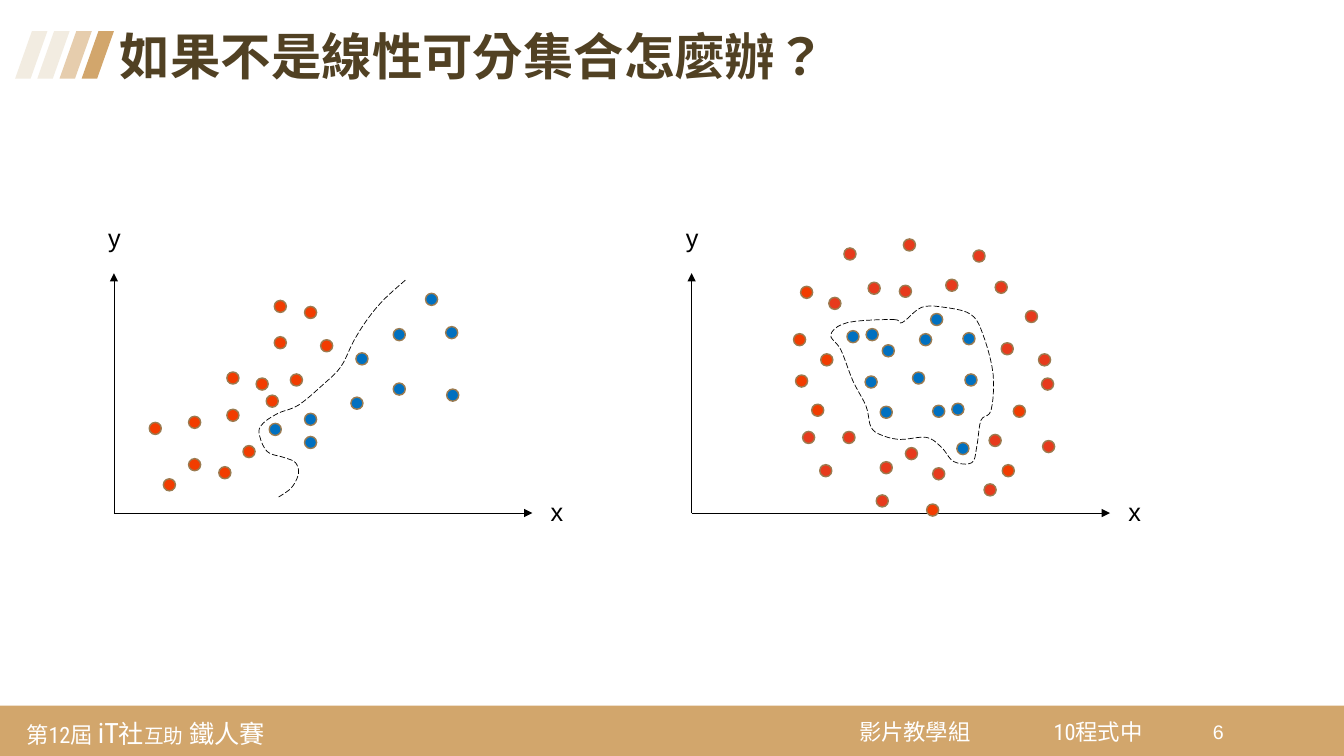
"""Build a slide that shows two point sets no straight line can separate."""
import dataclasses

import lxml.etree
import pptx
import pptx.dml.color
import pptx.enum.dml
import pptx.enum.lang
import pptx.enum.shapes
import pptx.enum.text
import pptx.oxml.ns
import pptx.util

SHAPES = pptx.enum.shapes.MSO_SHAPE
ANCHOR = pptx.enum.text.MSO_ANCHOR
ALIGN = pptx.enum.text.PP_ALIGN


@dataclasses.dataclass(frozen=True)
class Theme:
    heading_font: str = "Arial"
    footer_font: str = "Roboto Condensed"
    title_size: int = 36
    label_size: int = 18
    footer_size: int = 16
    number_size: int = 14
    hairline: float = 0.5
    dot_line: float = 1
    dot: float = 0.12
    title: str = "514123"
    ink: str = "000000"
    white: str = "FFFFFF"
    gold: str = "D2A66C"
    sand: str = "E6CDAD"
    cream: str = "F2ECE1"
    dot_edge: str = "9B7B50"
    blue: str = "0070C0"
    orange: str = "F23C00"
    red: str = "E73A1C"


@dataclasses.dataclass(frozen=True)
class Plot:
    left: float
    clusters: dict
    knots: list
    closed: bool
    base: float = 5.09
    width: float = 4.15
    height: float = 2.38

    def locate(self, x, y):
        return self.left + x, self.base - y


def length(inches):
    return pptx.util.Cm(inches * 2.54)


def color(value):
    return pptx.dml.color.RGBColor.from_string(value)


def smooth_curve(knots, closed, steps=5):
    ends = (knots[-1:], knots[:2]) if closed else (knots[:1], knots[-1:])
    padded = ends[0] + knots + ends[1]
    curve = []
    for quad in zip(padded, padded[1:], padded[2:], padded[3:]):
        for step in range(steps):
            t = step / steps
            curve.append(tuple(
                b + t * (c - a) / 2 + t**2 * (2 * a - 5 * b + 4 * c - d) / 2
                + t**3 * (3 * b - a - 3 * c + d) / 2
                for a, b, c, d in zip(*quad)))
    return curve if closed else curve + knots[-1:]


class SlideBuilder:
    def __init__(self, slide, theme):
        self.slide = slide
        self.theme = theme

    def format_font(self, font, name, size, ink, bold=False):
        font.name, font.size, font.bold = name, pptx.util.Pt(size), bold
        font.color.rgb = color(ink)

    def format_line(self, line, ink, width):
        line.color.rgb = color(ink)
        line.width = pptx.util.Pt(width)

    def title(self, text, left, top, width, height):
        box = self.slide.shapes.title
        box.left, box.top, box.width, box.height = map(length, (left, top, width, height))
        frame = box.text_frame
        frame.vertical_anchor = ANCHOR.TOP
        frame.auto_size = pptx.enum.text.MSO_AUTO_SIZE.NONE
        para = frame.paragraphs[0]
        para.alignment = ALIGN.LEFT
        para.line_spacing = 0.9
        para.space_before = pptx.util.Pt(0)
        self.format_font(para.font, self.theme.heading_font, self.theme.title_size,
                         self.theme.title, bold=True)
        span = para.add_run()
        span.text = text
        span.font.language_id = pptx.enum.lang.MSO_LANGUAGE_ID.TRADITIONAL_CHINESE

    def text(self, spans, left, top, width, height, font, size, ink,
             wrap=True, align=ALIGN.LEFT, anchor=ANCHOR.TOP, inset=None):
        box = self.slide.shapes.add_textbox(*map(length, (left, top, width, height)))
        frame = box.text_frame
        frame.word_wrap = wrap
        frame.vertical_anchor = anchor
        if inset is not None:
            frame.margin_left = frame.margin_right = length(inset)
            frame.margin_top = frame.margin_bottom = length(inset)
        para = frame.paragraphs[0]
        para.alignment = align
        self.format_font(para.font, font, size, ink)
        for words, span_size in spans:
            span = para.add_run()
            span.text = words
            if span_size != size:
                span.font.size = pptx.util.Pt(span_size)

    def footer(self, spans, left, top, width, height):
        self.text(spans, left, top, width, height, self.theme.footer_font,
                  self.theme.footer_size, self.theme.white, anchor=ANCHOR.MIDDLE, inset=0.08)

    def label(self, words, left, top):
        size = self.theme.label_size
        self.text([(words, size)], left, top, 0.33, 0.4, self.theme.heading_font,
                  size, self.theme.ink, wrap=False, align=ALIGN.CENTER)

    def shape(self, kind, left, top, width, height, fill, edge=None):
        shape = self.slide.shapes.add_shape(kind, *map(length, (left, top, width, height)))
        shape.shadow.inherit = False
        shape.fill.solid()
        shape.fill.fore_color.rgb = color(fill)
        if edge:
            self.format_line(shape.line, edge, self.theme.dot_line)
        else:
            shape.line.fill.background()
        return shape

    def dot(self, x, y, fill):
        size = self.theme.dot
        self.shape(SHAPES.OVAL, x - size / 2, y - size / 2, size, size, fill, self.theme.dot_edge)

    def arrow(self, start, end):
        arrow = self.slide.shapes.add_connector(
            pptx.enum.shapes.MSO_CONNECTOR.STRAIGHT, *map(length, start + end))
        self.format_line(arrow.line, self.theme.ink, self.theme.hairline)
        qn = pptx.oxml.ns.qn
        properties = arrow._element.spPr
        lxml.etree.SubElement(properties.find(qn("a:ln")), qn("a:tailEnd"), type="triangle")
        lxml.etree.SubElement(properties, qn("a:effectLst"))

    def boundary(self, places, closed):
        first, *rest = [tuple(map(length, place)) for place in places]
        builder = self.slide.shapes.build_freeform(*first)
        builder.add_line_segments(rest, close=closed)
        outline = builder.convert_to_shape()
        outline.shadow.inherit = False
        outline.fill.background()
        self.format_line(outline.line, self.theme.ink, self.theme.hairline)
        outline.line.dash_style = pptx.enum.dml.MSO_LINE.LONG_DASH

    def plot(self, plot):
        origin = plot.locate(0, 0)
        self.arrow(origin, plot.locate(0, plot.height))
        self.arrow(origin, plot.locate(plot.width, 0))
        self.label("x", *plot.locate(plot.width + 0.08, 0.22))
        self.label("y", *plot.locate(-0.16, plot.height + 0.55))
        for fill, centres in plot.clusters.items():
            for centre in centres:
                self.dot(*plot.locate(*centre), fill)
        curve = smooth_curve(plot.knots, plot.closed)
        self.boundary([plot.locate(*point) for point in curve], plot.closed)


def winding_plot(theme):
    return Plot(1.13, {
        theme.blue: [(1.6, 0.83), (1.95, 0.7), (1.95, 0.93), (2.41, 1.09), (2.46, 1.53),
                     (2.83, 1.23), (2.83, 1.77), (3.15, 2.12), (3.35, 1.79), (3.36, 1.17)],
        theme.orange: [(0.41, 0.84), (0.55, 0.28), (0.8, 0.48), (0.8, 0.9), (1.1, 0.4),
                       (1.18, 0.97), (1.18, 1.34), (1.34, 0.61), (1.47, 1.28), (1.57, 1.11),
                       (1.65, 1.69), (1.65, 2.05), (1.81, 1.32), (1.95, 1.99), (2.11, 1.66)],
    }, [(2.89, 2.31), (2.68, 2.12), (2.52, 1.93), (2.38, 1.71), (2.25, 1.45), (2.07, 1.27),
        (1.83, 1.07), (1.63, 0.99), (1.48, 0.89), (1.44, 0.79), (1.52, 0.61), (1.69, 0.55),
        (1.8, 0.5), (1.83, 0.39), (1.76, 0.25), (1.62, 0.15)], closed=False)


def enclosed_plot(theme):
    return Plot(6.86, {
        theme.blue: [(1.6, 1.75), (1.78, 1.3), (1.79, 1.77), (1.93, 1), (1.95, 1.61),
                     (2.25, 1.34), (2.32, 1.72), (2.43, 1.92), (2.45, 1.01), (2.64, 1.03),
                     (2.69, 0.64), (2.75, 1.73), (2.77, 1.32)],
        theme.orange: [(1.07, 1.72), (1.09, 1.31), (1.14, 2.19), (1.25, 1.02), (1.34, 1.52),
                       (2.39, 0.03), (3.14, 0.42), (3.25, 1.01)],
        theme.red: [(1.16, 0.75), (1.33, 0.42), (1.42, 2.08), (1.56, 0.75), (1.57, 2.57),
                    (1.81, 2.23), (1.89, 0.12), (1.93, 0.45), (2.12, 2.2), (2.16, 2.66),
                    (2.18, 0.59), (2.45, 0.39), (2.58, 2.26), (2.85, 2.55), (2.96, 0.23),
                    (3.01, 0.72), (3.07, 2.24), (3.13, 1.63), (3.37, 1.95), (3.5, 1.52),
                    (3.53, 1.28), (3.54, 0.66)],
    }, [(2, 1.92), (2.09, 1.89), (2.28, 2.04), (2.51, 2.04), (2.77, 1.97), (2.89, 1.77),
        (2.99, 1.38), (2.97, 1.02), (2.87, 0.92), (2.83, 0.67), (2.78, 0.5), (2.6, 0.51),
        (2.48, 0.65), (2.33, 0.75), (2.07, 0.73), (1.89, 0.77), (1.78, 0.85), (1.73, 1.06),
        (1.6, 1.31), (1.48, 1.62), (1.38, 1.77), (1.55, 1.89)], closed=True)


def main():
    theme = Theme()
    deck = pptx.Presentation()
    deck.slide_width, deck.slide_height = length(13.33), length(7.5)
    page = SlideBuilder(deck.slides.add_slide(deck.slide_layouts[5]), theme)
    page.shape(SHAPES.RECTANGLE, 0, 7, 13.33, 0.5, theme.gold)
    page.footer([("第12屆 ", 16), ("iT", 20), ("社", 18), ("互助", 14), (" 鐵人賽", 18)],
                0.18, 7.02, 2.83, 0.49)
    for words, left in (("影片教學組", 8.44), ("10程式中", 10.37)):
        page.footer([(words, theme.footer_size)], left, 7.04, 1.33, 0.43)
    page.text([("6", theme.number_size)], 11.93, 7.09, 0.42, 0.41,
              theme.heading_font, theme.number_size, theme.white)
    for index, fill in enumerate((theme.cream, theme.cream, theme.sand, theme.gold)):
        stripe = page.shape(SHAPES.PARALLELOGRAM, 0.15 + 0.22 * index, 0.31, 0.32, 0.47, fill)
        stripe.adjustments[0] = 0.52
    page.title("如果不是線性可分集合怎麼辦？", 1.09, 0.27, 10.19, 0.65)
    for build_plot in (winding_plot, enclosed_plot):
        page.plot(build_plot(theme))
    deck.save("out.pptx")


if __name__ == "__main__":
    main()
